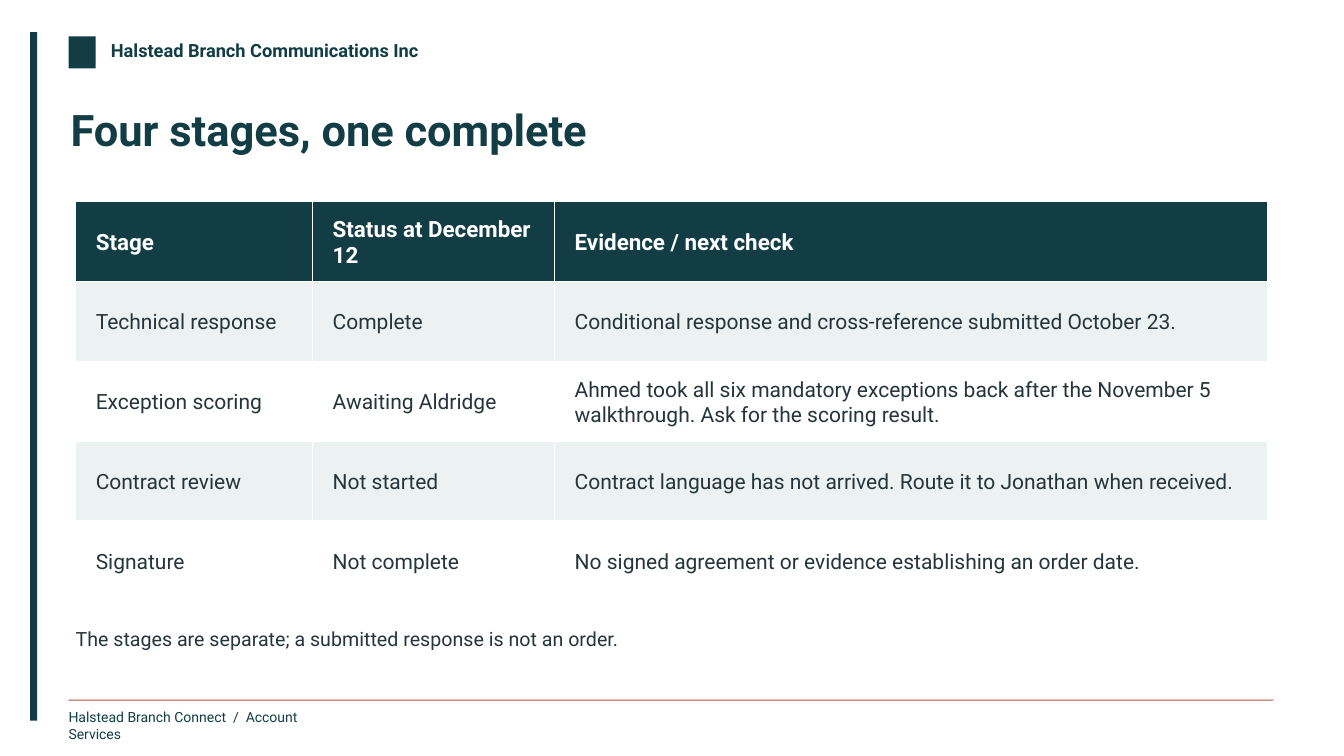
import pptx
import pptx.util
import pptx.dml.color
import pptx.enum.shapes
import pptx.enum.text
from lxml import etree

Inches = pptx.util.Inches
ANCHOR = pptx.enum.text.MSO_ANCHOR
FIT = pptx.enum.text.MSO_AUTO_SIZE
FONT = "Roboto"
COLORS = {"teal": "133D45", "rust": "AF5636", "ink": "26353B",
          "pale": "EBF2F1", "white": "FFFFFF"}
WIDTHS = (2.35, 2.4, 7.07)
STAGES = (
    ("Stage", "Status at December 12", "Evidence / next check"),
    ("Technical response", "Complete",
     "Conditional response and cross-reference submitted October 23."),
    ("Exception scoring", "Awaiting Aldridge",
     "Ahmed took all six mandatory exceptions back after the November 5 "
     "walkthrough. Ask for the scoring result."),
    ("Contract review", "Not started",
     "Contract language has not arrived. Route it to Jonathan when received."),
    ("Signature", "Not complete",
     "No signed agreement or evidence establishing an order date."),
)


def color(name):
    return pptx.dml.color.RGBColor.from_string(COLORS[name])


def style(frame, size, tint, bold=False):
    for para in frame.paragraphs:
        for run in para.runs:
            run.font.name = FONT
            run.font.size = pptx.util.Pt(size)
            run.font.bold = bold
            run.font.color.rgb = color(tint)


def inset(item, left=0, top=0, right=0, bottom=0):
    """Set the text margins of a frame or a table cell."""
    item.margin_left, item.margin_top = Inches(left), Inches(top)
    item.margin_right, item.margin_bottom = Inches(right), Inches(bottom)


def place(shape, box):
    shape.left, shape.top, shape.width, shape.height = map(Inches, box)


def add_bar(slide, box, tint):
    bar = slide.shapes.add_shape(
        pptx.enum.shapes.MSO_SHAPE.RECTANGLE, *map(Inches, box))
    bar.shadow.inherit = False
    bar.fill.solid()
    bar.fill.fore_color.rgb = color(tint)
    bar.line.fill.background()


def add_label(slide, box, text, size, bold=False):
    frame = slide.shapes.add_textbox(*map(Inches, box)).text_frame
    inset(frame)
    frame.word_wrap = False
    frame.text = text
    style(frame, size, "teal", bold)


def fill_holder(holder, box, text, size, tint, bold=False):
    """Move a placeholder to the box and set its text flush at the top left."""
    place(holder, box)
    frame = holder.text_frame
    inset(frame)
    frame.auto_size = FIT.NONE
    frame.vertical_anchor = ANCHOR.TOP
    frame.text = text
    para = frame.paragraphs[0]
    para.alignment = pptx.enum.text.PP_ALIGN.LEFT
    para.space_before = pptx.util.Pt(0)
    style(frame, size, tint, bold)
    return para


def add_header(slide, box):
    left, top, width, height = box
    add_bar(slide, (left, top, 0.27, height), "teal")
    add_label(slide, (left + 0.42, top + 0.03, width - 0.42, 0.27),
              "Halstead Branch Communications Inc", 13, True)


def add_footer(slide, box):
    left, top, width, height = box
    add_bar(slide, (left, top, width, 0.01), "rust")
    add_label(slide, (left, top + 0.09, 2.6, height - 0.09),
              "Halstead Branch Connect  /  Account Services", 10)


def add_stages(slide, box):
    table = slide.shapes.add_table(
        len(STAGES), len(WIDTHS), *map(Inches, box)).table
    for column, width in zip(table.columns, WIDTHS):
        column.width = Inches(width)
    for r, texts in enumerate(STAGES):
        head = r == 0
        back = "teal" if head else "pale" if r % 2 else "white"
        for c, text in enumerate(texts):
            cell = table.cell(r, c)
            cell.fill.solid()
            cell.fill.fore_color.rgb = color(back)
            cell.vertical_anchor = ANCHOR.MIDDLE
            inset(cell, 0.2, 0.07, 0.12, 0.04)
            cell.text_frame.text = text
            style(cell.text_frame, 16 if head else 15,
                  "white" if head else "ink", head)


def add_note(holder, box):
    para = fill_holder(
        holder, box,
        "The stages are separate; a submitted response is not an order.",
        14, "ink")
    props = para._p.get_or_add_pPr()
    props.set("marL", "0")
    props.set("indent", "0")
    etree.SubElement(props, pptx.oxml.ns.qn("a:buNone"))


def main():
    deck = pptx.Presentation()
    deck.slide_width, deck.slide_height = Inches(13.33), Inches(7.5)
    slide = deck.slides.add_slide(deck.slide_layouts[1])
    add_bar(slide, (0.3, 0.32, 0.07, 6.83), "teal")
    add_header(slide, (0.68, 0.36, 3.97, 0.32))
    add_footer(slide, (0.68, 6.94, 11.95, 0.32))
    fill_holder(slide.shapes.title, (0.7, 1.02, 11.9, 0.86),
                "Four stages, one complete", 31, "teal", True)
    add_stages(slide, (0.75, 2, sum(WIDTHS), 3.96))
    add_note(slide.placeholders[1], (0.75, 6.22, sum(WIDTHS), 0.44))
    deck.save("out.pptx")


if __name__ == "__main__":
    main()
